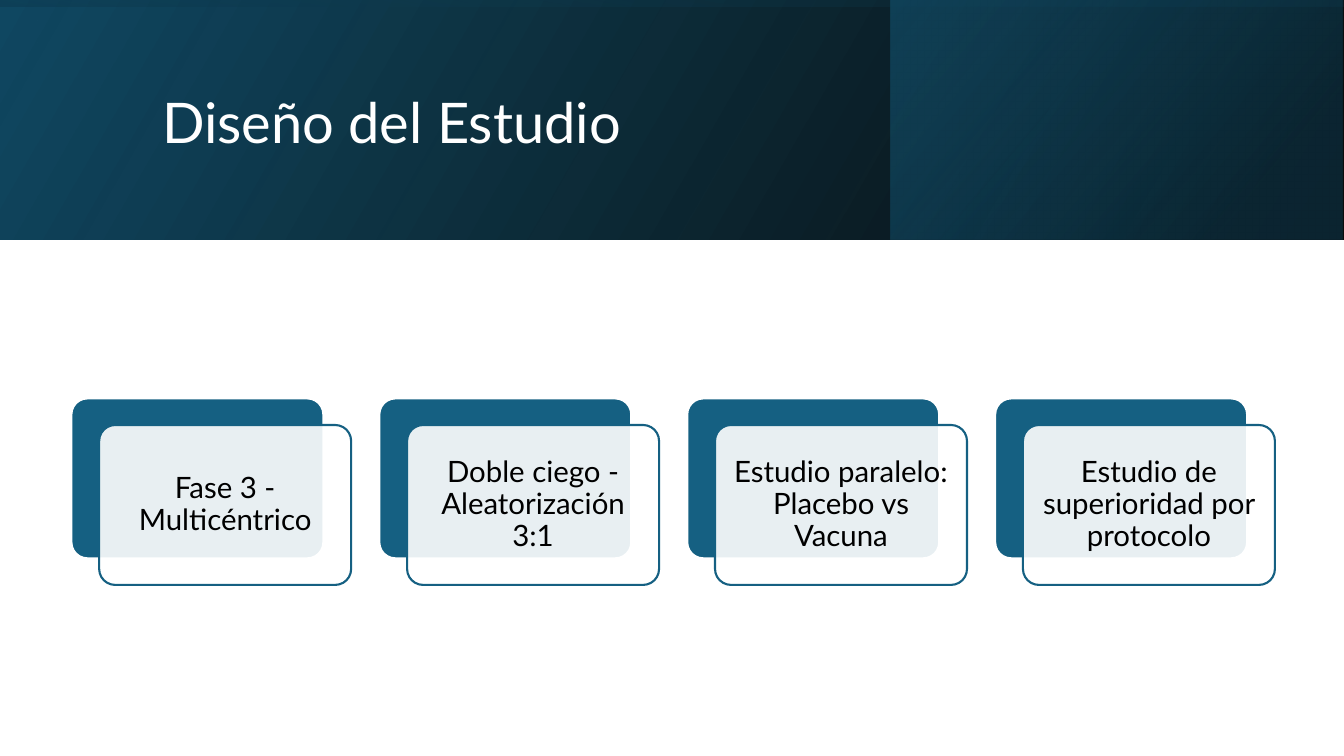
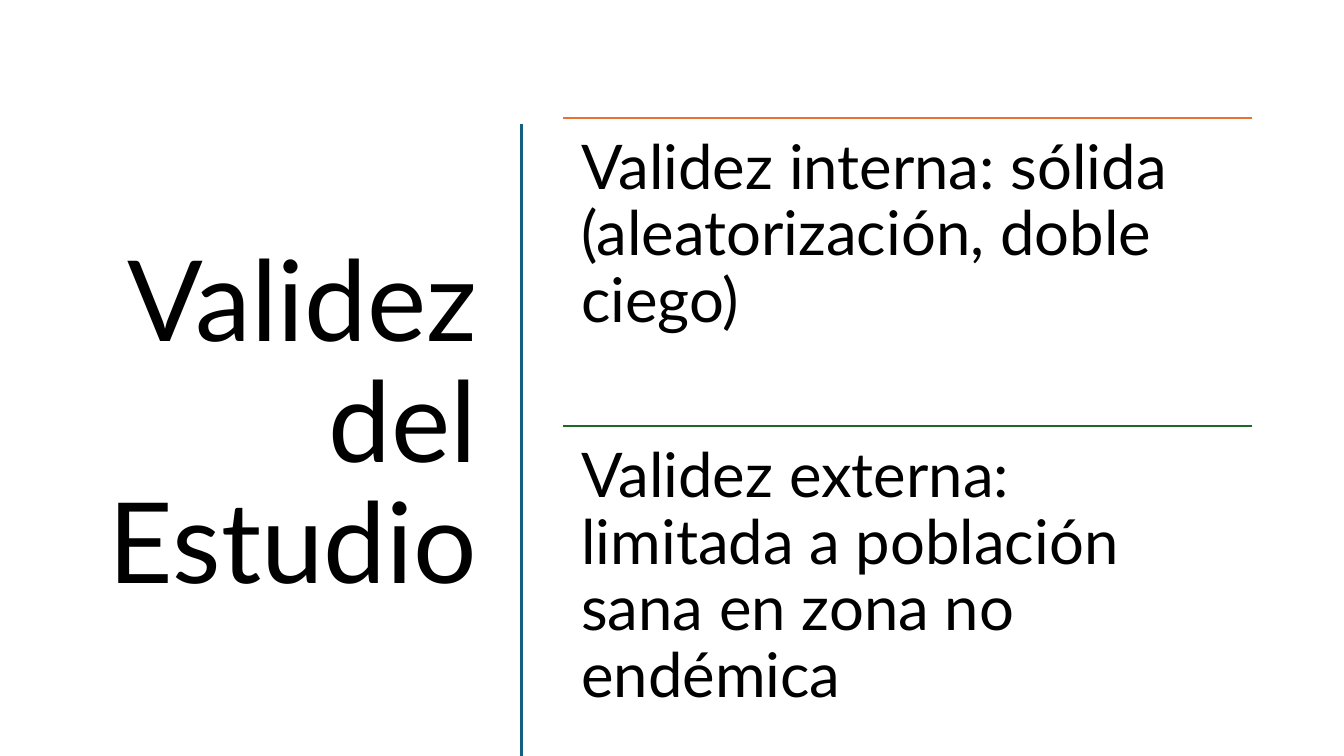
from dataclasses import dataclass

from lxml import etree
from pptx import Presentation
from pptx.dml.color import RGBColor
from pptx.enum.shapes import MSO_CONNECTOR, MSO_SHAPE
from pptx.enum.text import MSO_ANCHOR, MSO_AUTO_SIZE, PP_ALIGN
from pptx.oxml.ns import qn
from pptx.util import Cm, Pt

FONT = "Lato"
BLACK = RGBColor(0x00, 0x00, 0x00)
WHITE = RGBColor(0xFF, 0xFF, 0xFF)
NAVY = RGBColor(0x10, 0x48, 0x62)
DEEP = RGBColor(0x0B, 0x30, 0x41)
TEAL = RGBColor(0x15, 0x60, 0x82)
ORANGE = RGBColor(0xE9, 0x71, 0x32)
GREEN = RGBColor(0x19, 0x6B, 0x24)

SLIDE_W, SLIDE_H, BAND_H = 33.87, 19.05, 6.04


@dataclass
class Box:
    left: float
    top: float
    width: float
    height: float

    def lengths(self) -> tuple:
        return Cm(self.left), Cm(self.top), Cm(self.width), Cm(self.height)


@dataclass
class Stop:
    position: float
    color: RGBColor
    opacity: int


@dataclass
class Band:
    box: Box
    stops: tuple[Stop, Stop]
    angle: int  # counter-clockwise degrees
    rotation: int = 0


@dataclass
class Section:
    text: str
    color: RGBColor


# The last band lies on its side, so its box is upright before turning
BANDS = [
    Band(Box(0, 0, SLIDE_W, BAND_H), (Stop(0, BLACK, 96), Stop(1, NAVY, 100)), 30),
    Band(Box(22.45, 0, 11.39, BAND_H), (Stop(0.19, DEEP, 68), Stop(1, TEAL, 48)), 40),
    Band(Box((SLIDE_W - BAND_H) / 2, (BAND_H - SLIDE_W) / 2, BAND_H, SLIDE_W),
         (Stop(0.23, NAVY, 16), Stop(0.99, BLACK, 45)), 10, 270),
]

CARDS = [
    "Fase 3 - Multicéntrico",
    "Doble ciego - Aleatorización 3:1",
    "Estudio paralelo: Placebo vs Vacuna",
    "Estudio de superioridad por protocolo",
]
CARD_LEFT, CARD_TOP, CARD_W, CARD_H = 1.8, 10.04, 6.35, 4.03
CARD_PITCH, SHIFT_X, SHIFT_Y = 7.76, 0.7, 0.67

SECTIONS = [
    Section("Validez interna: sólida (aleatorización, doble ciego)", ORANGE),
    Section("Validez externa: limitada a población sana en zona no endémica", GREEN),
]
SECTION_LEFT, SECTION_TOP, SECTION_W, SECTION_H = 14.19, 2.97, 17.35, 7.77


def set_opacity(clr, percent: int) -> None:
    etree.SubElement(clr, qn("a:alpha")).set("val", str(percent * 1000))


def write(tf, text: str, size: int, color: RGBColor, align: PP_ALIGN,
          anchor: MSO_ANCHOR, inset: float = 0.25) -> None:
    tf.word_wrap = True
    tf.auto_size = MSO_AUTO_SIZE.NONE
    tf.vertical_anchor = anchor
    tf.margin_left = tf.margin_right = tf.margin_top = tf.margin_bottom = Cm(inset)
    p = tf.paragraphs[0]
    p.alignment = align
    p.line_spacing = 0.9
    r = p.add_run()
    r.text = text
    r.font.name = FONT
    r.font.size = Pt(size)
    r.font.color.rgb = color


def add_title(s, text: str, box: Box, size: int, color: RGBColor, align: PP_ALIGN) -> None:
    title = s.shapes.title
    title.left, title.top, title.width, title.height = box.lengths()
    write(title.text_frame, text, size, color, align, MSO_ANCHOR.MIDDLE)


def add_band(s, band: Band) -> None:
    sp = s.shapes.add_shape(MSO_SHAPE.RECTANGLE, *band.box.lengths())
    sp.shadow.inherit = False
    sp.line.fill.background()
    sp.rotation = band.rotation
    sp.element.spPr.find(qn("a:xfrm")).set("flipH", "1")
    sp.fill.gradient()
    sp.fill.gradient_angle = band.angle
    for gs, stop in zip(sp.fill.gradient_stops, band.stops):
        gs.position = stop.position
        gs.color.rgb = stop.color
    for clr, stop in zip(sp.element.spPr.iter(qn("a:srgbClr")), band.stops):
        set_opacity(clr, stop.opacity)


def add_panel(s, box: Box, fill: RGBColor, line: RGBColor):
    sp = s.shapes.add_shape(MSO_SHAPE.ROUNDED_RECTANGLE, *box.lengths())
    sp.adjustments[0] = 0.1
    sp.shadow.inherit = False
    sp.fill.solid()
    sp.fill.fore_color.rgb = fill
    sp.line.color.rgb = line
    sp.line.width = Pt(1.5)
    return sp


def add_card(s, left: float, text: str) -> None:
    add_panel(s, Box(left, CARD_TOP, CARD_W, CARD_H), TEAL, WHITE)
    front = add_panel(s, Box(left + SHIFT_X, CARD_TOP + SHIFT_Y, CARD_W, CARD_H),
                      WHITE, TEAL)
    set_opacity(front.element.spPr.find(qn("a:solidFill"))[0], 90)
    write(front.text_frame, text, 21, BLACK, PP_ALIGN.CENTER, MSO_ANCHOR.MIDDLE, 0.23)


def add_line(s, x1: float, y1: float, x2: float, y2: float,
             color: RGBColor, width: float) -> None:
    line = s.shapes.add_connector(MSO_CONNECTOR.STRAIGHT, Cm(x1), Cm(y1), Cm(x2), Cm(y2))
    line.line.color.rgb = color
    line.line.width = Pt(width)
    etree.SubElement(line.element.spPr, qn("a:effectLst"))


def add_section(s, top: float, section: Section) -> None:
    box = Box(SECTION_LEFT, top, SECTION_W, SECTION_H)
    add_line(s, box.left, top, box.left + box.width, top, section.color, 1.5)
    tb = s.shapes.add_textbox(*box.lengths())
    write(tb.text_frame, section.text, 44, BLACK, PP_ALIGN.LEFT, MSO_ANCHOR.TOP, 0.46)


def build_design(prs) -> None:
    s = prs.slides.add_slide(prs.slide_layouts[5])
    # Header bands go behind the title
    for band in BANDS:
        add_band(s, band)
    title = s.shapes.title.element
    title.getparent().append(title)
    add_title(s, "Diseño del Estudio", Box(3.84, 0.97, 27, 4.37), 40, WHITE, PP_ALIGN.LEFT)
    # Row of cards
    for i, text in enumerate(CARDS):
        add_card(s, CARD_LEFT + i * CARD_PITCH, text)


def build_validity(prs) -> None:
    s = prs.slides.add_slide(prs.slide_layouts[5])
    add_title(s, "Validez del Estudio", Box(1.32, 2.97, 10.95, 15.52), 80, BLACK,
              PP_ALIGN.RIGHT)
    # Divider and ruled sections
    add_line(s, 13.14, 3.12, 13.14, SLIDE_H, TEAL, 2)
    for i, section in enumerate(SECTIONS):
        add_section(s, SECTION_TOP + i * SECTION_H, section)


def main() -> None:
    prs = Presentation()
    prs.slide_width, prs.slide_height = Cm(SLIDE_W), Cm(SLIDE_H)
    build_design(prs)
    build_validity(prs)
    prs.save("out.pptx")


if __name__ == "__main__":
    main()
